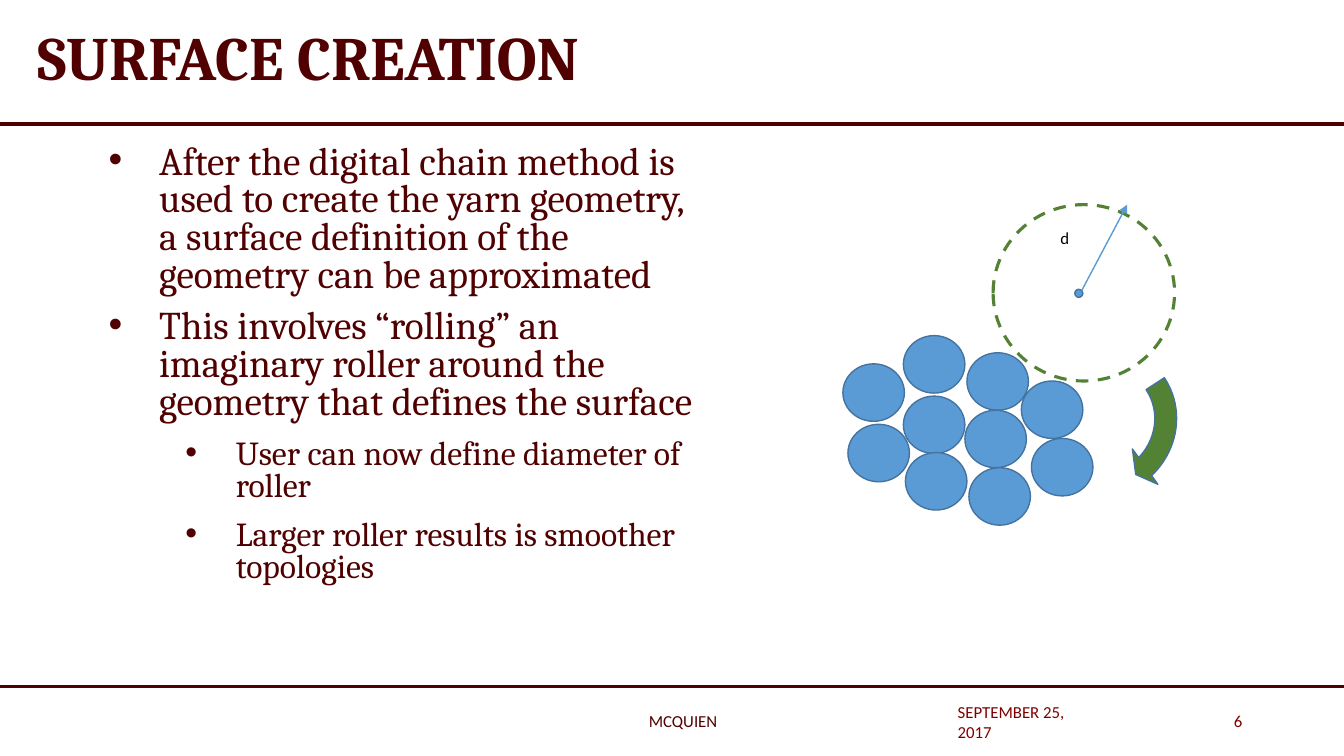
import pptx
import pptx.util
import pptx.dml.color
import pptx.enum.dml
import pptx.enum.shapes
import pptx.enum.text
import pptx.oxml.ns
import lxml.etree

Inches = pptx.util.Inches
Pt = pptx.util.Pt
qn = pptx.oxml.ns.qn
SHAPE = pptx.enum.shapes.MSO_SHAPE
ALIGN = pptx.enum.text.PP_ALIGN
ANCHOR = pptx.enum.text.MSO_ANCHOR

MAROON = "500000"
RED = "800000"
BLUE = "5B9BD5"
OUTLINE = "43739E"
GREEN = "548235"


def rgb(value):
    return pptx.dml.color.RGBColor.from_string(value)


def write(frame, text, size=12, font="Calibri", color=MAROON, bold=False, align=ALIGN.LEFT,
          anchor=ANCHOR.MIDDLE, spacing=1.0, before=0, level=0, indent=None):
    frame.word_wrap = True
    frame.auto_size = pptx.enum.text.MSO_AUTO_SIZE.NONE
    frame.vertical_anchor = anchor
    paragraph = frame.add_paragraph() if frame.text else frame.paragraphs[0]
    paragraph.alignment = align
    paragraph.line_spacing = spacing
    paragraph.space_before = Pt(before)
    paragraph.level = level
    run = paragraph.add_run()
    run.text = text
    run.font.size = Pt(size)
    run.font.name = font
    run.font.bold = bold
    run.font.color.rgb = rgb(color)
    if indent is not None:
        properties = paragraph._p.get_or_add_pPr()
        properties.set("marL", str(Inches(indent)))
        properties.set("indent", str(Inches(-0.5)))
        bullet_font = lxml.etree.SubElement(properties, qn("a:buFont"))
        bullet_font.set("typeface", "Arial")
        bullet = lxml.etree.SubElement(properties, qn("a:buChar"))
        bullet.set("char", "•")


presentation = pptx.Presentation()
presentation.slide_width = Inches(13.33)
presentation.slide_height = Inches(7.5)
slide = presentation.slides.add_slide(presentation.slide_layouts[5])
shapes = slide.shapes

title = shapes.title
title.left, title.top = Inches(0.27), Inches(0.07)
title.width, title.height = Inches(12.77), Inches(1.07)
write(title.text_frame, "SURFACE CREATION", size=44, font="Cambria", bold=True, spacing=0.9)

body = shapes.add_textbox(Inches(0.98), Inches(1.39), Inches(5.99), Inches(5.24))
bullets = [
    (0, "After the digital chain method is used to create the yarn geometry, "
        "a surface definition of the geometry can be approximated"),
    (0, "This involves “rolling” an imaginary roller around the geometry that defines the surface"),
    (1, "User can now define diameter of roller"),
    (1, "Larger roller results is smoother topologies"),
]
for level, text in bullets:
    write(body.text_frame, text, font="Cambria", anchor=ANCHOR.TOP, spacing=0.8, level=level,
          size=(28, 24)[level], before=(10, 12)[level], indent=(0.5, 1.26)[level])

footers = [
    ("SEPTEMBER 25, 2017", 9.4, 6.96, 1.55, RED, ALIGN.LEFT),
    ("MCQUIEN", 4.42, 6.95, 4.71, MAROON, ALIGN.CENTER),
    ("6", 11.23, 6.95, 1.19, RED, ALIGN.RIGHT),
]
for text, left, top, width, color, align in footers:
    footer = shapes.add_textbox(Inches(left), Inches(top), Inches(width), Inches(0.4))
    write(footer.text_frame, text, color=color, align=align)

diagram = shapes.add_group_shape()
yarn_positions = [
    (8.36, 3.61), (8.96, 3.93), (8.96, 3.33), (8.41, 4.21), (8.98, 4.49),
    (9.59, 3.5), (9.57, 4.07), (10.13, 3.78), (9.61, 4.64), (10.23, 4.35),
]
diagram_shapes = [(SHAPE.OVAL, left, top, 0.61, 0.57, BLUE, OUTLINE, 1) for left, top in yarn_positions]
diagram_shapes += [
    (SHAPE.OVAL, 9.85, 2.03, 1.8, 1.75, None, GREEN, 2.25),
    (SHAPE.CIRCULAR_ARROW, 10.02, 3.28, 1.73, 1.8, GREEN, OUTLINE, 1),
    (SHAPE.OVAL, 10.66, 2.87, 0.08, 0.08, BLUE, OUTLINE, 1),
]
for kind, left, top, width, height, fill, line, weight in diagram_shapes:
    shape = diagram.shapes.add_shape(kind, Inches(left), Inches(top), Inches(width), Inches(height))
    shape.shadow.inherit = False
    shape.line.color.rgb = rgb(line)
    shape.line.width = Pt(weight)
    if fill:
        shape.fill.solid()
        shape.fill.fore_color.rgb = rgb(fill)
    else:
        shape.fill.background()
        shape.line.dash_style = pptx.enum.dml.MSO_LINE.DASH
    if kind == SHAPE.CIRCULAR_ARROW:
        shape.rotation = 62.6
        for index, value in enumerate((0.125, 6.41, 204.58, 158.56, 0.125)):
            shape.adjustments[index] = value

connectors = [
    (shapes, 0, 1.23, 13.33, 1.23, MAROON, 2.5, False),
    (shapes, 0, 6.81, 13.33, 6.81, MAROON, 2, False),
    (diagram.shapes, 10.73, 2.88, 11.18, 2.03, BLUE, 1, True),
]
for parent, x1, y1, x2, y2, color, weight, arrow in connectors:
    connector = parent.add_connector(pptx.enum.shapes.MSO_CONNECTOR.STRAIGHT,
                                     Inches(x1), Inches(y1), Inches(x2), Inches(y2))
    connector.line.color.rgb = rgb(color)
    connector.line.width = Pt(weight)
    properties = connector._element.spPr
    lxml.etree.SubElement(properties, qn("a:effectLst"))
    if arrow:
        tail = lxml.etree.SubElement(properties.find(qn("a:ln")), qn("a:tailEnd"))
        tail.set("type", "triangle")

diameter = diagram.shapes.add_textbox(Inches(10.42), Inches(2.21), Inches(0.56), Inches(0.48))
write(diameter.text_frame, "d", color="000000", anchor=ANCHOR.TOP)

presentation.save("out.pptx")
